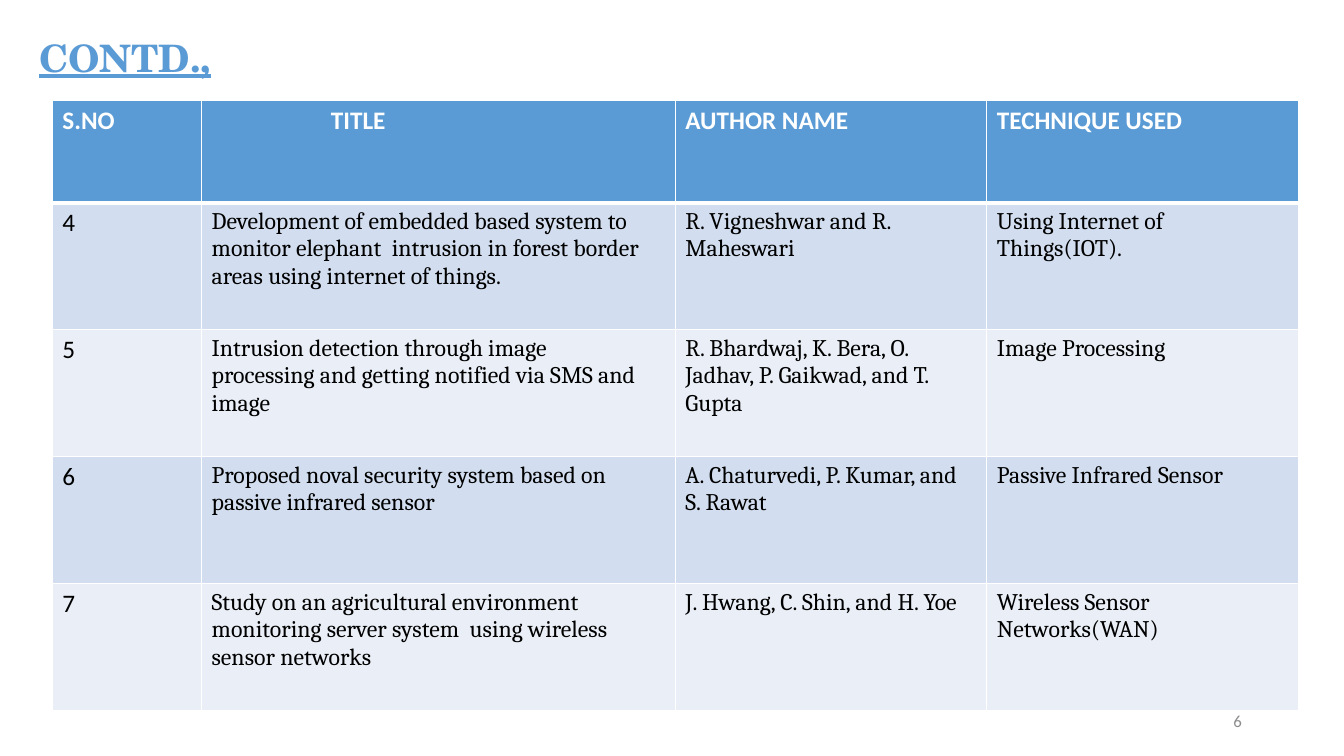
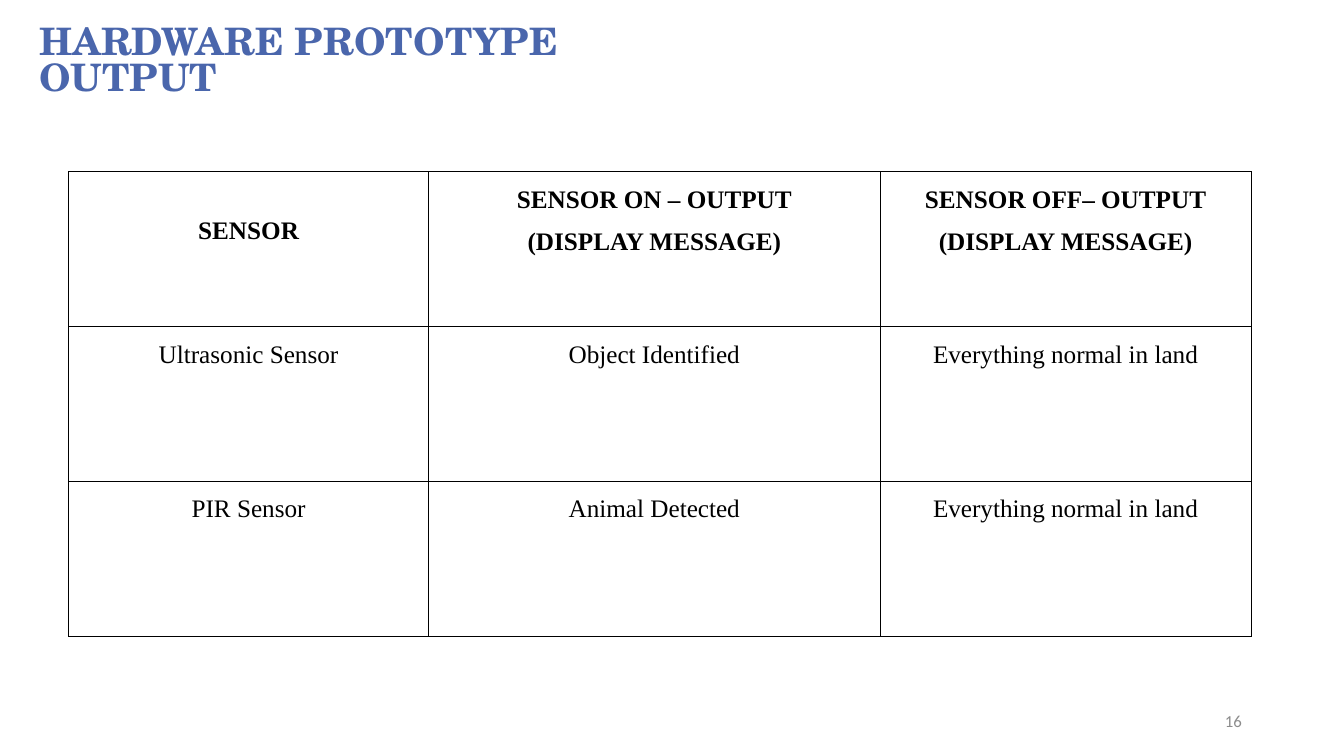
import pptx
import pptx.dml.color
import pptx.enum.text
import pptx.oxml.ns
import pptx.util
from dataclasses import dataclass
from lxml import etree

Cm, Pt = pptx.util.Cm, pptx.util.Pt
ALIGN = pptx.enum.text.PP_ALIGN
ANCHOR = pptx.enum.text.MSO_ANCHOR
FIT = pptx.enum.text.MSO_AUTO_SIZE


@dataclass(frozen=True)
class Theme:
    # Colours
    sky: str = "5B9BD5"
    navy: str = "4A66AC"
    ink: str = "000000"
    white: str = "FFFFFF"
    grey: str = "8C8C8C"
    bands: tuple = ("D2DEEF", "EAEFF7")
    # Fonts
    head: str = "TeX Gyre Schola"
    sans: str = "Calibri"
    serif: str = "Cambria"
    roman: str = "Times New Roman"
    # Type sizes
    big: int = 27
    mid: int = 18
    body: int = 17
    small: int = 12


class Deck:
    def __init__(self, theme):
        self.theme = theme
        self.prs = pptx.Presentation()
        self.prs.slide_width = Cm(33.87)
        self.prs.slide_height = Cm(19.05)
        self.slide = None

    def rgb(self, code):
        return pptx.dml.color.RGBColor.from_string(code)

    def label(self, frame, text, font, size, color, bold=False,
              align=ALIGN.LEFT, space=1.0):
        """Set the text, one paragraph a line, and format every run."""
        frame.text = text
        for para in frame.paragraphs:
            para.alignment = align
            para.line_spacing = space
            for run in para.runs:
                run.font.name = font
                run.font.size = Pt(size)
                run.font.bold = bold
                run.font.color.rgb = self.rgb(color)

    def page(self, number):
        """Start a slide and put its number at the lower right."""
        self.slide = self.prs.slides.add_slide(self.prs.slide_layouts[5])
        box = self.slide.shapes.add_textbox(
            Cm(23.93), Cm(17.65), Cm(7.62), Cm(1.02))
        frame = box.text_frame
        frame.word_wrap = True
        frame.vertical_anchor = ANCHOR.MIDDLE
        self.label(frame, str(number), self.theme.sans, self.theme.small,
                   self.theme.grey, align=ALIGN.RIGHT)

    def title(self, text, top, width, height, color, anchor, space=1.0,
              line=False):
        shape = self.slide.shapes.title
        shape.left, shape.top = Cm(0.74), Cm(top)
        shape.width, shape.height = Cm(width), Cm(height)
        frame = shape.text_frame
        frame.word_wrap = True
        frame.auto_size = FIT.NONE
        frame.vertical_anchor = anchor
        self.label(frame, text, self.theme.head, self.theme.big, color,
                   bold=True, space=space)
        frame.paragraphs[0].runs[0].font.underline = line

    def table(self, left, top, cols, rows):
        """Add an empty table with the given column widths and row heights."""
        grid = self.slide.shapes.add_table(
            len(rows), len(cols), Cm(left), Cm(top),
            Cm(sum(cols)), Cm(sum(rows))).table
        grid.first_row = grid.horz_banding = False
        for col, width in zip(grid.columns, cols):
            col.width = Cm(width)
        for row, height in zip(grid.rows, rows):
            row.height = Cm(height)
        return grid

    def paint(self, cell, fill, edge, top=1, base=1):
        """Fill a cell and draw its four borders."""
        if fill:
            cell.fill.solid()
            cell.fill.fore_color.rgb = self.rgb(fill)
        else:
            cell.fill.background()
        qn = pptx.oxml.ns.qn
        props = cell._tc.get_or_add_tcPr()
        sides = (("L", 1), ("R", 1), ("T", top), ("B", base))
        for place, (side, width) in enumerate(sides):
            line = etree.Element(qn(f"a:ln{side}"), w=str(Pt(width)))
            solid = etree.SubElement(line, qn("a:solidFill"))
            etree.SubElement(solid, qn("a:srgbClr"), val=edge)
            props.insert(place, line)


PAPERS = [
    ("S.NO", "TITLE", "AUTHOR NAME", "TECHNIQUE USED"),
    ("4", "Development of embedded based system to monitor elephant  "
     "intrusion in forest border areas using internet of things.",
     "R. Vigneshwar and R. Maheswari", "Using Internet of Things(IOT)."),
    ("5", "Intrusion detection through image\n"
     "processing and getting notified via SMS and image",
     "R. Bhardwaj, K. Bera, O. Jadhav, P. Gaikwad, and T. Gupta",
     "Image Processing"),
    ("6", "Proposed noval security system based on passive infrared sensor",
     "A. Chaturvedi, P. Kumar, and S. Rawat", "Passive Infrared Sensor"),
    ("7", "Study on an agricultural environment monitoring server system  "
     "using wireless sensor networks",
     "J. Hwang, C. Shin, and H. Yoe", "Wireless Sensor Networks(WAN)"),
]

SENSORS = [
    ("SENSOR", "SENSOR ON – OUTPUT\n(DISPLAY MESSAGE)",
     "SENSOR OFF– OUTPUT\n(DISPLAY MESSAGE)"),
    ("Ultrasonic Sensor", "Object Identified", "Everything normal in land"),
    ("PIR Sensor", "Animal Detected", "Everything normal in land"),
]


def papers(deck):
    """Literature survey, continued."""
    theme = deck.theme
    deck.page(6)
    deck.title("CONTD.,", 0.74, 16.94, 1.42, theme.sky, ANCHOR.TOP, line=True)
    grid = deck.table(1.32, 2.52, [3.76, 11.94, 7.85, 7.85],
                      [2.59] + [3.2] * 4)
    for r, row in enumerate(PAPERS):
        for c, text in enumerate(row):
            cell = grid.cell(r, c)
            if r == 0:
                deck.label(cell.text_frame, text, theme.sans, theme.mid,
                           theme.white, bold=True)
                deck.paint(cell, theme.sky, theme.white, base=3)
                continue
            font, size = ((theme.serif, theme.body) if c
                          else (theme.sans, theme.mid))
            deck.label(cell.text_frame, text, font, size, theme.ink)
            deck.paint(cell, theme.bands[(r - 1) % 2], theme.white,
                       top=3 if r == 1 else 1)
    # The heading of the wide column stands near its middle
    grid.cell(0, 1).margin_left = Cm(3.26)


def sensors(deck):
    """Messages shown by each sensor."""
    theme = deck.theme
    deck.page(16)
    deck.title("HARDWARE PROTOTYPE OUTPUT", 1.32, 18.11, 1.3, theme.navy,
               ANCHOR.BOTTOM, space=0.8)
    grid = deck.table(1.73, 4.33, [9.07, 11.38, 9.35], [3.9] * 3)
    for r, row in enumerate(SENSORS):
        for c, text in enumerate(row):
            cell = grid.cell(r, c)
            cell.margin_left = cell.margin_right = Cm(0.18)
            cell.margin_top = cell.margin_bottom = 0
            corner = r == c == 0
            deck.label(cell.text_frame, text, theme.roman, theme.mid,
                       theme.ink, bold=r == 0, align=ALIGN.CENTER,
                       space=1.0 if corner else 1.5)
            deck.paint(cell, None, theme.ink)
    # The corner heading sits lower than its neighbours
    grid.cell(0, 0).margin_top = Cm(1.14)


def main():
    deck = Deck(Theme())
    papers(deck)
    sensors(deck)
    deck.prs.save("out.pptx")


if __name__ == "__main__":
    main()
